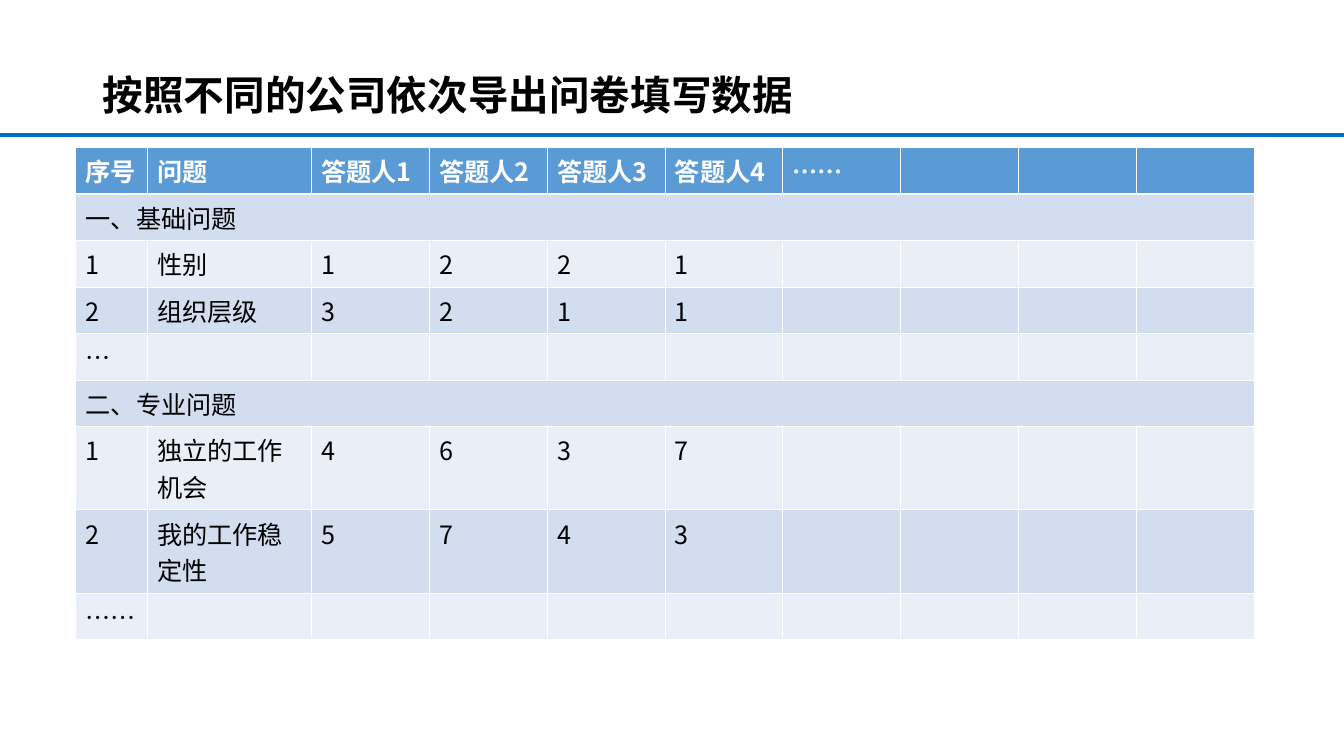
from pptx import Presentation
from pptx.dml.color import RGBColor
from pptx.enum.shapes import MSO_CONNECTOR
from pptx.enum.text import MSO_ANCHOR, MSO_AUTO_SIZE, PP_ALIGN
from pptx.oxml.ns import qn
from pptx.util import Inches, Pt
from lxml import etree

STRAIGHT = MSO_CONNECTOR.STRAIGHT
MIDDLE = MSO_ANCHOR.MIDDLE
NO_AUTOFIT = MSO_AUTO_SIZE.NONE
LEFT = PP_ALIGN.LEFT

FONT = "Noto Sans CJK SC"
BLACK = RGBColor(0x00, 0x00, 0x00)
WHITE = RGBColor(0xFF, 0xFF, 0xFF)
RULE_BLUE = RGBColor(0x00, 0x70, 0xC0)
HEADER_BLUE = RGBColor(0x5B, 0x9B, 0xD5)
BAND_DARK = RGBColor(0xD2, 0xDE, 0xEF)
BAND_LIGHT = RGBColor(0xEA, 0xEF, 0xF7)

THIN, THICK = 0.45, 1.47
COLUMN_WIDTHS = [0.71, 1.63] + [1.17] * 8
ROW_HEIGHTS = [0.41] * 6 + [0.7] * 2 + [0.41]
ROWS = [
    ["序号", "问题", "答题人1", "答题人2", "答题人3", "答题人4", "……"],
    ["一、基础问题"],
    ["1", "性别", "1", "2", "2", "1"],
    ["2", "组织层级", "3", "2", "1", "1"],
    ["…"],
    ["二、专业问题"],
    ["1", "独立的工作机会", "4", "6", "3", "7"],
    ["2", "我的工作稳定性", "5", "7", "4", "3"],
    ["……"],
]
SECTION_ROWS = (1, 5)


def write_text(text_frame, text, size=18, color=BLACK, bold=False, line_spacing=None):
    paragraph = text_frame.paragraphs[0]
    paragraph.alignment = LEFT
    if line_spacing:
        paragraph.line_spacing = line_spacing
    run = paragraph.add_run()
    run.text = text
    run.font.name = FONT
    run.font.size = Pt(size)
    run.font.bold = bold
    run.font.color.rgb = color
    east_asian = etree.SubElement(run.font._element, qn("a:ea"))
    east_asian.set("typeface", FONT)


def add_title(slide, text):
    title = slide.shapes.title
    title.left, title.top = Inches(0.92), Inches(0.4)
    title.width, title.height = Inches(11.5), Inches(0.83)
    text_frame = title.text_frame
    text_frame.word_wrap = True
    text_frame.auto_size = NO_AUTOFIT
    text_frame.vertical_anchor = MIDDLE
    write_text(text_frame, text, size=29, bold=True, line_spacing=1.5)


def add_rule(slide, top, width):
    rule = slide.shapes.add_connector(STRAIGHT, 0, top, width, top)
    rule.line.color.rgb = RULE_BLUE
    rule.line.width = Pt(3)
    etree.SubElement(rule._element.spPr, qn("a:effectLst"))


def set_borders(cell, top, bottom):
    properties = cell._tc.get_or_add_tcPr()
    sides = (("a:lnL", THIN), ("a:lnR", THIN), ("a:lnT", top), ("a:lnB", bottom))
    for position, (tag, width) in enumerate(sides):
        line = etree.Element(qn(tag), w=str(Pt(width)))
        fill = etree.SubElement(line, qn("a:solidFill"))
        etree.SubElement(fill, qn("a:srgbClr"), val=str(WHITE))
        properties.insert(position, line)


def row_fill(row_index):
    if row_index == 0:
        return HEADER_BLUE
    return BAND_DARK if row_index % 2 else BAND_LIGHT


def add_answer_table(slide):
    frame = slide.shapes.add_table(
        len(ROWS), len(COLUMN_WIDTHS), Inches(0.75), Inches(1.46),
        Inches(sum(COLUMN_WIDTHS)), Inches(sum(ROW_HEIGHTS)))
    table = frame.table
    for column, width in zip(table.columns, COLUMN_WIDTHS):
        column.width = Inches(width)
    for row, height in zip(table.rows, ROW_HEIGHTS):
        row.height = Inches(height)
    last_column = len(COLUMN_WIDTHS) - 1
    for row_index, texts in enumerate(ROWS):
        header = row_index == 0
        for column_index in range(len(COLUMN_WIDTHS)):
            cell = table.cell(row_index, column_index)
            cell.fill.solid()
            cell.fill.fore_color.rgb = row_fill(row_index)
            set_borders(cell, THICK if row_index == 1 else THIN, THICK if header else THIN)
            if column_index < len(texts):
                write_text(cell.text_frame, texts[column_index],
                           color=WHITE if header else BLACK, bold=header)
        if row_index in SECTION_ROWS:
            table.cell(row_index, 0).merge(table.cell(row_index, last_column))


def main():
    presentation = Presentation()
    presentation.slide_width = Inches(13.34)
    presentation.slide_height = Inches(7.5)
    slide = presentation.slides.add_slide(presentation.slide_layouts[5])
    add_rule(slide, Inches(1.34), presentation.slide_width)
    add_title(slide, "按照不同的公司依次导出问卷填写数据")
    add_answer_table(slide)
    presentation.save("out.pptx")


if __name__ == "__main__":
    main()
